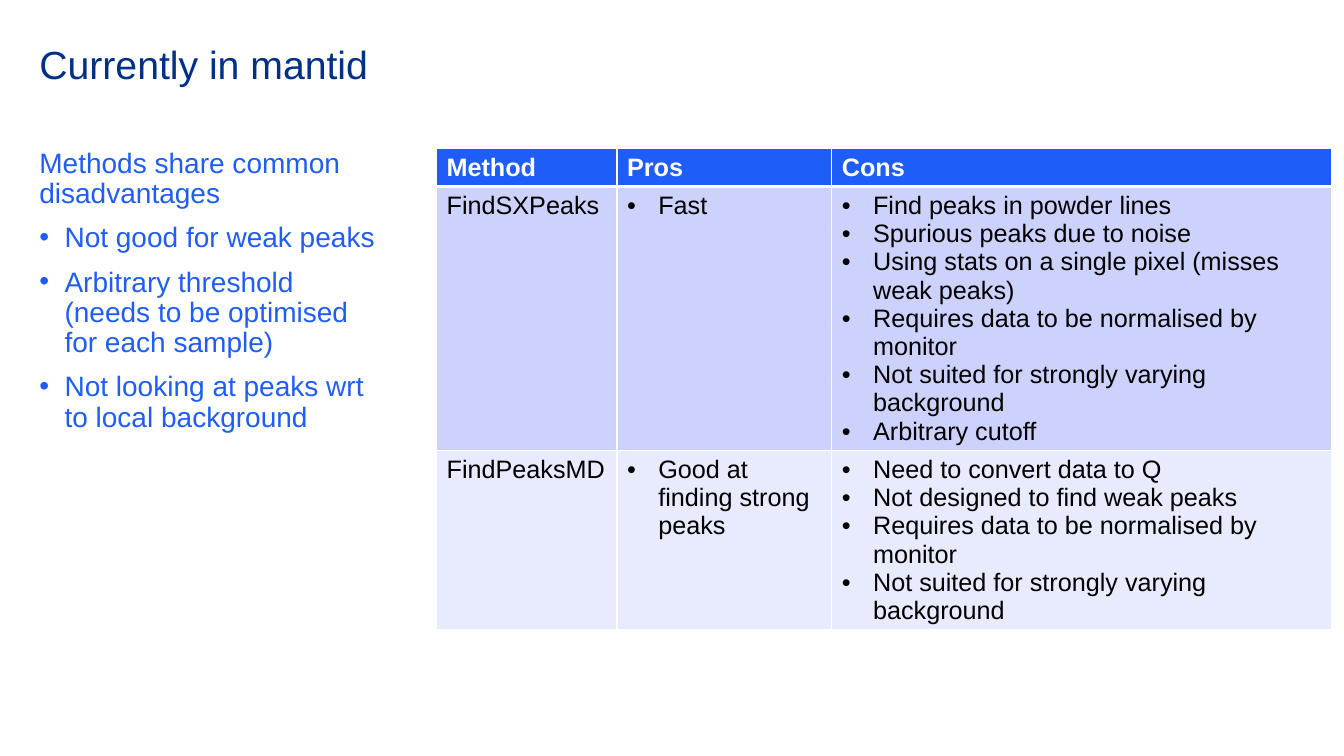
from dataclasses import dataclass

from lxml.etree import SubElement
from pptx import Presentation
from pptx.dml.color import RGBColor
from pptx.enum.text import MSO_ANCHOR, MSO_AUTO_SIZE, PP_ALIGN
from pptx.oxml.ns import qn
from pptx.util import Inches, Pt


@dataclass(frozen=True)
class Theme:
    font: str = "Arial"
    navy: str = "003088"
    blue: str = "1E5DF8"
    dark_band: str = "CDD2FC"
    light_band: str = "E8EAFE"
    black: str = "000000"
    white: str = "FFFFFF"
    title_size: int = 28
    body_size: int = 20
    table_size: int = 18


THEME = Theme()

DISADVANTAGES = [
    "Not good for weak peaks",
    "Arbitrary threshold (needs to be optimised for each sample)",
    "Not looking at peaks wrt to local background",
]
HEADINGS = ["Method", "Pros", "Cons"]
SHARED_CONS = [
    "Requires data to be normalised by monitor",
    "Not suited for strongly varying background",
]
METHODS = [
    ("FindSXPeaks", ["Fast"], [
        "Find peaks in powder lines",
        "Spurious peaks due to noise",
        "Using stats on a single pixel (misses weak peaks)",
        *SHARED_CONS,
        "Arbitrary cutoff",
    ]),
    ("FindPeaksMD", ["Good at finding strong peaks"], [
        "Need to convert data to Q",
        "Not designed to find weak peaks",
        *SHARED_CONS,
    ]),
]
COLUMN_WIDTHS = [1.79, 2.13, 4.96]
ROW_HEIGHTS = [0.37, 2.62, 1.77]


def set_bullet(paragraph, indent):
    """Hang a bullet at the given indent; no indent means no bullet."""
    properties = paragraph._p.get_or_add_pPr()
    properties.set("marL", str(Inches(indent)))
    properties.set("indent", str(Inches(-indent)))
    if indent:
        SubElement(properties, qn("a:buFont"), typeface=THEME.font)
        SubElement(properties, qn("a:buChar"), char="•")
    else:
        SubElement(properties, qn("a:buNone"))


def style_font(paragraph, size, color, bold=False):
    font = paragraph.font
    font.name, font.size, font.bold = THEME.font, Pt(size), bold
    font.color.rgb = RGBColor.from_string(color)


def add_paragraphs(frame, items):
    """Write one paragraph per (text, indent) pair and return them."""
    for number, (text, indent) in enumerate(items):
        paragraph = frame.add_paragraph() if number else frame.paragraphs[0]
        paragraph.text = text
        set_bullet(paragraph, indent)
    return frame.paragraphs


def fill_placeholder(shape, box, items, size, color):
    shape.left, shape.top, shape.width, shape.height = map(Inches, box)
    frame = shape.text_frame
    frame.word_wrap = True
    frame.auto_size = MSO_AUTO_SIZE.NONE
    frame.vertical_anchor = MSO_ANCHOR.TOP
    for number, paragraph in enumerate(add_paragraphs(frame, items)):
        paragraph.alignment = PP_ALIGN.LEFT
        paragraph.line_spacing = 0.9
        paragraph.space_before = Pt(10 if number else 0)
        style_font(paragraph, size, color)


def set_borders(cell, row):
    """White rules, with a thick one below the heading row."""
    widths = {
        "L": 1, "R": 1,
        "T": 3 if row == 1 else 1,
        "B": 3 if row == 0 else 1,
    }
    properties = cell._tc.get_or_add_tcPr()
    for side, width in widths.items():
        line = SubElement(properties, qn(f"a:ln{side}"), w=str(Pt(width)))
        solid = SubElement(line, qn("a:solidFill"))
        SubElement(solid, qn("a:srgbClr"), val=THEME.white)


def fill_cell(cell, row, items, fill, color):
    set_borders(cell, row)
    cell.fill.solid()
    cell.fill.fore_color.rgb = RGBColor.from_string(fill)
    for paragraph in add_paragraphs(cell.text_frame, items):
        style_font(paragraph, THEME.table_size, color, bold=row == 0)


def add_method_table(slide):
    table = slide.shapes.add_table(
        len(ROW_HEIGHTS), len(COLUMN_WIDTHS), Inches(4.33), Inches(1.47),
        Inches(sum(COLUMN_WIDTHS)), Inches(sum(ROW_HEIGHTS))).table
    for column, width in zip(table.columns, COLUMN_WIDTHS):
        column.width = Inches(width)
    for table_row, height in zip(table.rows, ROW_HEIGHTS):
        table_row.height = Inches(height)

    # Heading row
    for column, heading in enumerate(HEADINGS):
        fill_cell(table.cell(0, column), 0, [(heading, 0)],
                  THEME.blue, THEME.white)

    # One banded row per method
    bands = [THEME.dark_band, THEME.light_band]
    for row, ((name, pros, cons), band) in enumerate(zip(METHODS, bands), 1):
        contents = [[(name, 0)]]
        contents += [[(text, 0.31) for text in texts] for texts in (pros, cons)]
        for column, items in enumerate(contents):
            fill_cell(table.cell(row, column), row, items, band, THEME.black)


def main():
    presentation = Presentation()
    presentation.slide_width = Inches(13.33)
    presentation.slide_height = Inches(7.5)
    slide = presentation.slides.add_slide(presentation.slide_layouts[1])

    # Title and shared disadvantages
    fill_placeholder(slide.shapes.title, (0.29, 0.4, 6.38, 0.63),
                     [("Currently in mantid", 0)],
                     THEME.title_size, THEME.navy)
    points = [("Methods share common disadvantages", 0)]
    points += [(text, 0.25) for text in DISADVANTAGES]
    fill_placeholder(slide.placeholders[1], (0.29, 1.43, 3.56, 4.76),
                     points, THEME.body_size, THEME.blue)

    # Comparison of methods
    add_method_table(slide)
    presentation.save("out.pptx")


if __name__ == "__main__":
    main()
